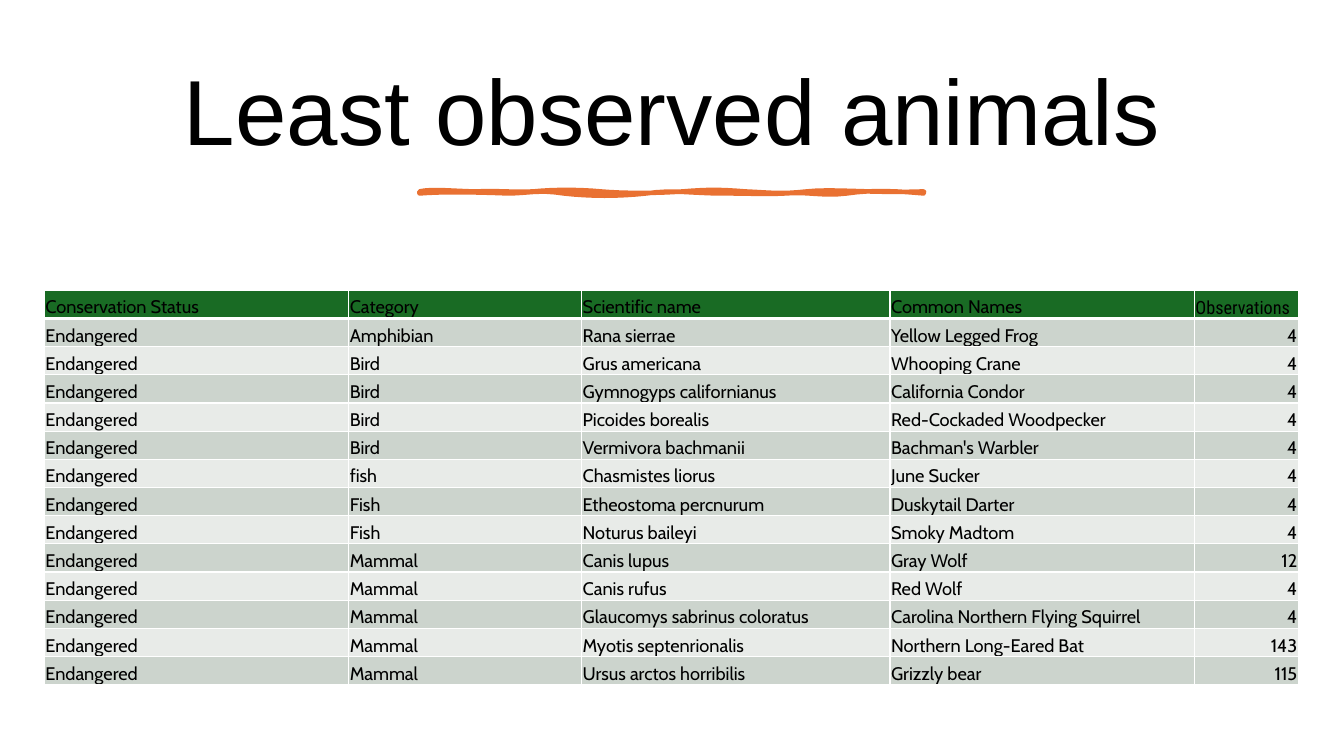
from dataclasses import dataclass

from lxml.etree import SubElement
from pptx import Presentation
from pptx.dml.color import RGBColor as Color
from pptx.enum.text import MSO_ANCHOR as Anchor, PP_ALIGN as Align
from pptx.oxml.ns import qn
from pptx.util import Inches, Pt


@dataclass(frozen=True)
class Theme:
    """Colours, fonts and sizes of the slide."""
    ink: str = "000000"
    accent: str = "E97132"
    header: str = "196B24"
    bands: tuple = ("CCD4CD", "E8EBE8")
    border: str = "FFFFFF"
    title_font: str = "Arial"
    table_font: str = "Cabin"
    count_font: str = "Roboto Condensed"
    title_size: float = 66
    table_size: float = 13
    brush_line: float = 3.25
    thin_line: float = 1
    thick_line: float = 3


HEADINGS = ("Conservation Status", "Category", "Scientific name", "Common Names", "Observations")
STATUS = "Endangered"
ANIMALS = [
    ("Amphibian", "Rana sierrae", "Yellow Legged Frog", 4),
    ("Bird", "Grus americana", "Whooping Crane", 4),
    ("Bird", "Gymnogyps californianus", "California Condor", 4),
    ("Bird", "Picoides borealis", "Red-Cockaded Woodpecker", 4),
    ("Bird", "Vermivora bachmanii", "Bachman's Warbler", 4),
    ("fish", "Chasmistes liorus", "June Sucker", 4),
    ("Fish", "Etheostoma percnurum", "Duskytail Darter", 4),
    ("Fish", "Noturus baileyi", "Smoky Madtom", 4),
    ("Mammal", "Canis lupus", "Gray Wolf", 12),
    ("Mammal", "Canis rufus", "Red Wolf", 4),
    ("Mammal", "Glaucomys sabrinus coloratus", "Carolina Northern Flying Squirrel", 4),
    ("Mammal", "Myotis septenrionalis", "Northern Long-Eared Bat", 143),
    ("Mammal", "Ursus arctos horribilis", "Grizzly bear", 115),
]
COLUMN_WIDTHS = (22.65, 17.33, 22.95, 22.65, 7.73)
ROW_HEIGHT = 3.73
BRUSH_LENGTH = 500
BRUSH_CURVES = [
    ((12, -3), (38, 0), (57, 0)),
    ((76, -1), (93, 1), (113, 0)),
    ((133, -2), (158, -2), (180, 0)),
    ((201, 2), (237, 2), (261, 0)),
    ((286, -2), (298, -2), (323, 0)),
    ((347, 1), (358, 3), (384, 0)),
    ((410, -3), (451, 2), (500, 0)),
    ((501, 1), (500, 1), (500, 2)),
    ((479, 0), (449, -2), (424, 2)),
    ((399, 5), (385, 0), (363, 2)),
    ((340, 3), (331, 2), (301, 2)),
    ((271, 2), (251, -2), (225, 2)),
    ((198, 5), (169, 5), (143, 2)),
    ((118, -2), (107, 2), (87, 2)),
    ((67, 1), (22, 0), (0, 2)),
]


def curve_points(start, curves, steps=8):
    """Return points along a chain of cubic curves."""
    points = []
    for first, second, end in curves:
        for step in range(1, steps + 1):
            t = step / steps
            weights = ((1 - t) ** 3, 3 * t * (1 - t) ** 2, 3 * t * t * (1 - t), t ** 3)
            corners = (start, first, second, end)
            points.append(tuple(sum(w * corner[axis] for w, corner in zip(weights, corners))
                                for axis in (0, 1)))
        start = end
    return points


class Sheet:
    """Draws elements on a page divided into 100 columns and 100 rows."""

    def __init__(self, deck, theme):
        """Add a blank page and keep its grid and theme."""
        self.theme = theme
        self.page = deck.slides.add_slide(deck.slide_layouts[6])
        self.column = deck.slide_width / 100
        self.row = deck.slide_height / 100

    def across(self, columns):
        """Return the width of a number of columns."""
        return round(columns * self.column)

    def down(self, rows):
        """Return the height of a number of rows."""
        return round(rows * self.row)

    def style(self, paragraph, font, size, align):
        """Set the font and alignment of a paragraph."""
        paragraph.alignment = align
        paragraph.font.name = font
        paragraph.font.size = Pt(size)
        paragraph.font.color.rgb = Color.from_string(self.theme.ink)

    def title(self, text, left, top, width, height):
        """Add the centred title."""
        box = self.page.shapes.add_textbox(
            self.across(left), self.down(top), self.across(width), self.down(height))
        frame = box.text_frame
        frame.word_wrap = True
        frame.vertical_anchor = Anchor.MIDDLE
        para = frame.paragraphs[0]
        para.text = text
        para.line_spacing = 0.9
        self.style(para, self.theme.title_font, self.theme.title_size, Align.CENTER)

    def brush_stroke(self, left, top, width):
        """Add the wavy stroke under the title."""
        unit = self.across(width) / BRUSH_LENGTH
        builder = self.page.shapes.build_freeform(0, 0, scale=1 / unit * 100)
        builder = self.page.shapes.build_freeform(0, 0, scale=unit / 100)
        builder.add_line_segments(
            [(round(x * 100), round(y * 100)) for x, y in curve_points((0, 0), BRUSH_CURVES)])
        stroke = builder.convert_to_shape(self.across(left), self.down(top))
        stroke.shadow.inherit = False
        stroke.fill.solid()
        stroke.fill.fore_color.rgb = Color.from_string(self.theme.accent)
        stroke.line.color.rgb = Color.from_string(self.theme.accent)
        stroke.line.width = Pt(self.theme.brush_line)

    def borders(self, cell, top, bottom):
        """Give a cell its four borders."""
        thin = self.theme.thin_line
        properties = cell._tc.get_or_add_tcPr()
        for side, width in zip("LRTB", (thin, thin, top, bottom)):
            line = SubElement(properties, qn(f"a:ln{side}"), w=str(Pt(width)))
            fill = SubElement(line, qn("a:solidFill"))
            SubElement(fill, qn("a:srgbClr"), val=self.theme.border)

    def cell(self, cell, value, fill, font, top, bottom):
        """Fill and style one table cell."""
        cell.margin_left = cell.margin_right = self.across(0.08)
        cell.margin_top = self.down(0.13)
        cell.margin_bottom = 0
        cell.vertical_anchor = Anchor.BOTTOM
        self.borders(cell, top, bottom)
        cell.fill.solid()
        cell.fill.fore_color.rgb = Color.from_string(fill)
        para = cell.text_frame.paragraphs[0]
        para.text = str(value)
        align = Align.RIGHT if isinstance(value, int) else Align.LEFT
        self.style(para, font, self.theme.table_size, align)

    def table(self, headings, records, left, top, widths, row_height):
        """Add a table with a header and banded rows."""
        theme = self.theme
        rows = [headings, *records]
        table = self.page.shapes.add_table(
            len(rows), len(headings), self.across(left), self.down(top),
            self.across(sum(widths)), self.down(row_height * len(rows))).table
        for column, width in zip(table.columns, widths):
            column.width = self.across(width)
        for index, values in enumerate(rows):
            table.rows[index].height = self.down(row_height)
            fill = theme.bands[(index - 1) % 2] if index else theme.header
            top_line = theme.thick_line if index == 1 else theme.thin_line
            bottom_line = theme.thin_line if index else theme.thick_line
            for place, value in enumerate(values):
                is_count_heading = index == 0 and place == len(headings) - 1
                font = theme.count_font if is_count_heading else theme.table_font
                self.cell(table.cell(index, place), value, fill, font, top_line, bottom_line)


def main():
    """Build and save the deck."""
    deck = Presentation()
    deck.slide_width, deck.slide_height = Inches(13.33), Inches(7.5)
    sheet = Sheet(deck, Theme())
    sheet.title("Least observed animals", 5.25, 6.13, 89.5, 18.27)
    sheet.brush_stroke(31.21, 25.33, 37.51)
    records = [(STATUS, *animal) for animal in ANIMALS]
    sheet.table(HEADINGS, records, 3.3, 38.4, COLUMN_WIDTHS, ROW_HEIGHT)
    deck.save("out.pptx")


if __name__ == "__main__":
    main()
